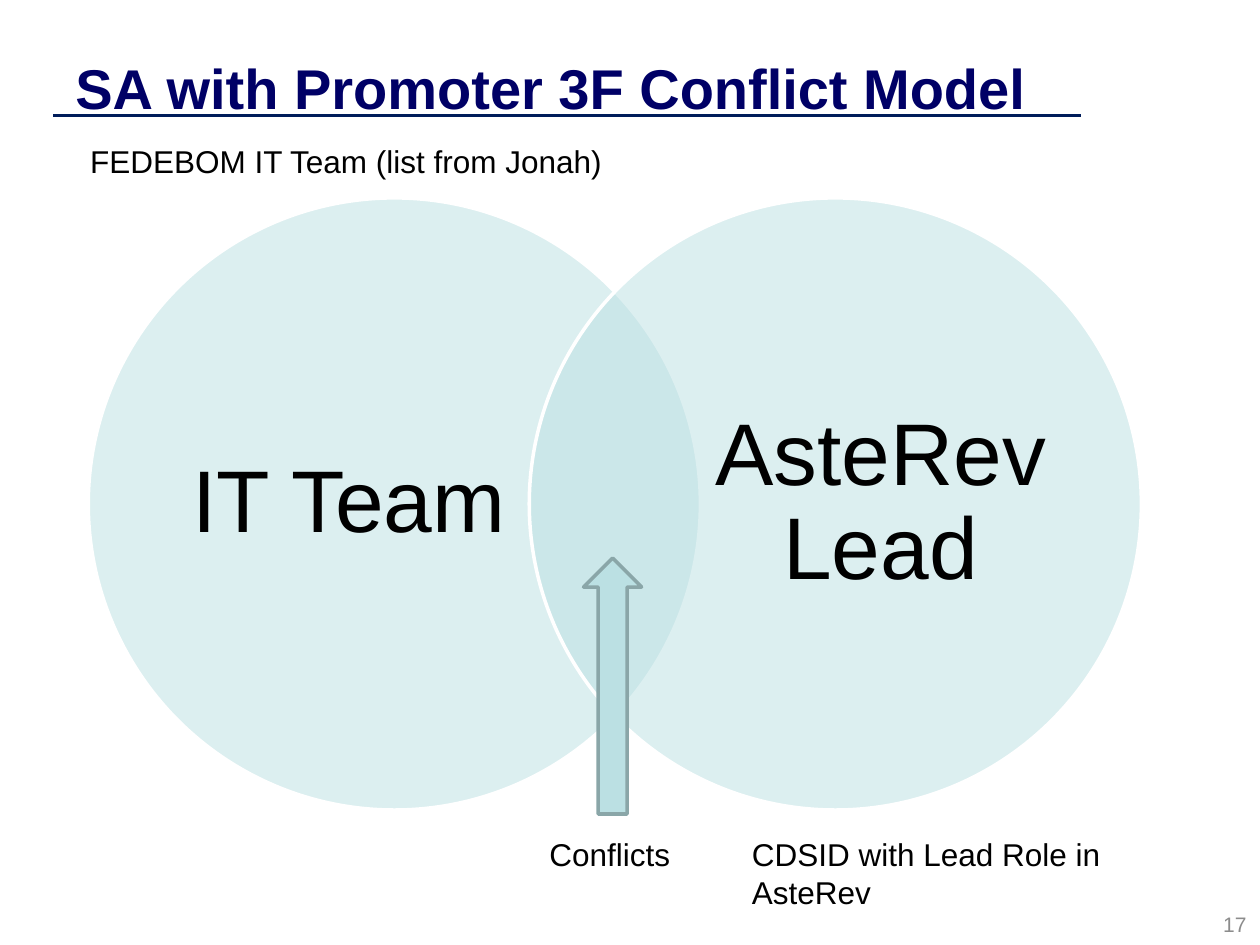
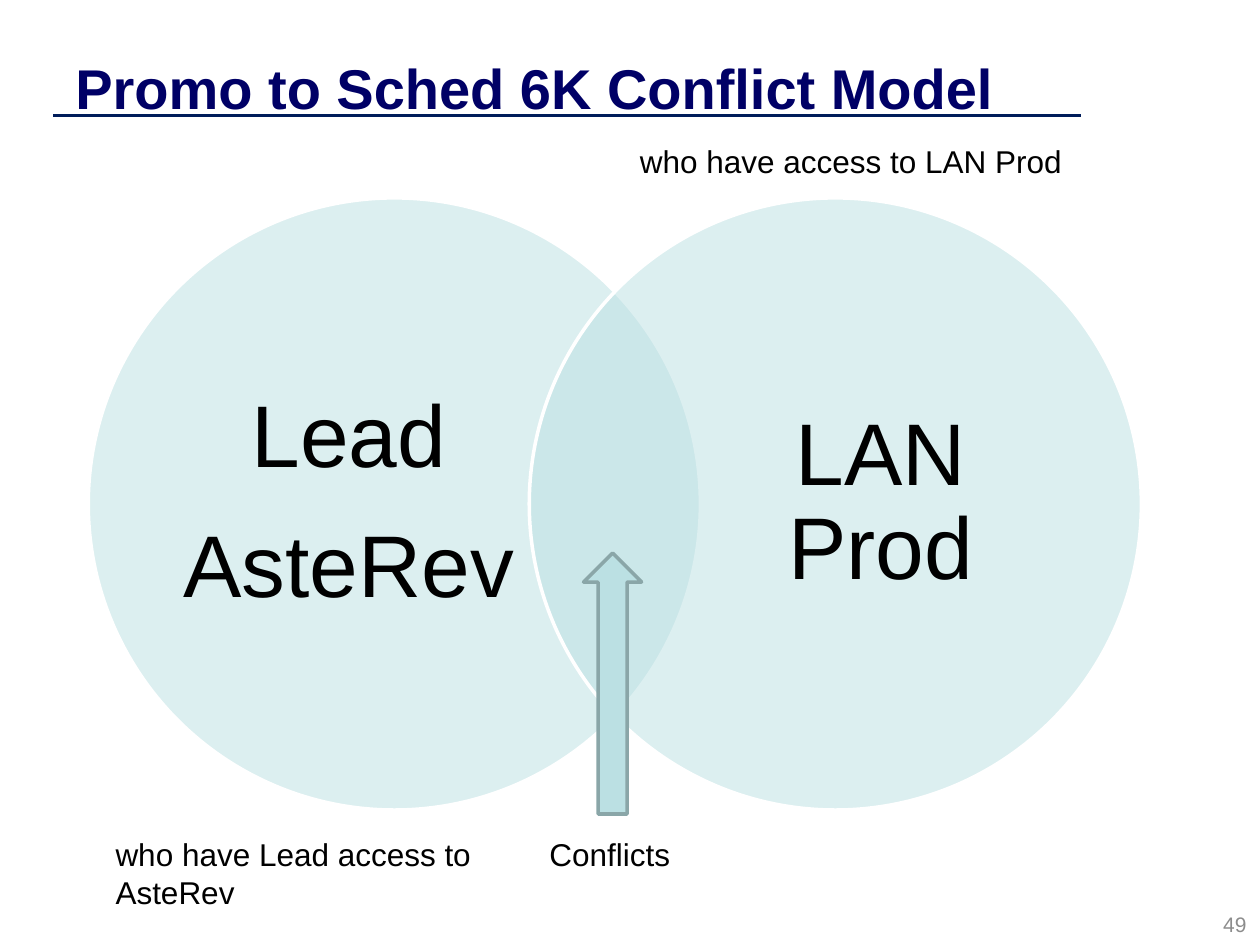
import pptx
import pptx.util
import pptx.dml.color
import pptx.enum.shapes
import pptx.enum.text
import pptx.oxml.ns
import lxml.etree

Cm, Pt = pptx.util.Cm, pptx.util.Pt
Color = pptx.dml.color.RGBColor
Shape = pptx.enum.shapes.MSO_SHAPE
Align = pptx.enum.text.PP_ALIGN
Anchor = pptx.enum.text.MSO_ANCHOR
qn = pptx.oxml.ns.qn

FONT = "Arial"
NAVY = Color(0x00, 0x00, 0x66)
RULE = Color(0x00, 0x1C, 0x5A)
AQUA = Color(0xBB, 0xE0, 0xE3)
TEAL = Color(0x8A, 0xA6, 0xA8)
GRAY = Color(0x8C, 0x8C, 0x8C)
WHITE = Color(0xFF, 0xFF, 0xFF)
BLACK = Color(0x00, 0x00, 0x00)

# Boxes are left, top, width, height in centimetres
TITLE = (1.27, 0.76, 20.32, 1.98)
VENN = (1.78, 3.99, 21.23, 12.34)
NUMBER = (19.46, 18.19, 5.92, 0.86)
ABOVE, BELOW = 2.74, 16.71

SLIDES = [
    dict(title="SA with Promoter 3F Conflict Model", number="17",
         teams=(["IT Team"], ["AsteRev Lead"]), tip=11.25,
         notes=[("FEDEBOM IT Team (list from Jonah)", (1.57, ABOVE, 11.1, 1.02)),
                ("CDSID with Lead Role in AsteRev", (14.91, BELOW, 9.12, 1.8))]),
    dict(title="Promo to Sched 6K Conflict Model", number="49",
         teams=(["Lead", "AsteRev"], ["LAN Prod"]), tip=11.15,
         notes=[("who have Lead access to AsteRev", (2.08, BELOW, 8.74, 1.8)),
                ("who have access to LAN Prod", (12.65, ABOVE, 9.78, 1.02))]),
]


def add_text(shapes, box, lines, size, color=BLACK, bold=False,
             align=Align.LEFT, anchor=Anchor.TOP):
    frame = shapes.add_textbox(*map(Cm, box)).text_frame
    frame.word_wrap = True
    frame.vertical_anchor = anchor
    for i, line in enumerate(lines):
        para = frame.paragraphs[0] if i == 0 else frame.add_paragraph()
        para.alignment = align
        run = para.add_run()
        run.text = line
        run.font.name = FONT
        run.font.size = Pt(size)
        run.font.bold = bold
        run.font.color.rgb = color
    return frame


def add_shape(shapes, kind, box, edge):
    shape = shapes.add_shape(kind, *map(Cm, box))
    shape.shadow.inherit = False
    shape.fill.solid()
    shape.fill.fore_color.rgb = AQUA
    shape.line.color.rgb = edge
    shape.line.width = Pt(2)
    return shape


def fade(shape, percent):
    """Set the opacity of the shape's fill."""
    color = shape.fill._xPr.find(qn("a:solidFill"))[0]
    lxml.etree.SubElement(color, qn("a:alpha"), val=str(percent * 1000))


def add_title(slide, box, title):
    left, top, _, _ = box
    y = Cm(top + 1.57)
    rule = slide.shapes.add_connector(
        pptx.enum.shapes.MSO_CONNECTOR.STRAIGHT,
        Cm(left - 0.2), y, Cm(left + 20.52), y)
    rule.line.color.rgb = RULE
    rule.line.width = Pt(2)
    lxml.etree.SubElement(rule._element.spPr, qn("a:effectLst"))
    add_text(slide.shapes, box, [title], 32, NAVY, True, anchor=Anchor.MIDDLE)


def add_venn(slide, box, teams):
    left, top, width, size = box
    wide, high, inset = 7.11, 9.42, 1.7
    group = slide.shapes.add_group_shape().shapes
    places = [(left, inset), (left + width - size, size - wide - inset)]
    for lines, (x, shift) in zip(teams, places):
        fade(add_shape(group, Shape.OVAL, (x, top, size, size), WHITE), 50)
        label = (x + shift, top + (size - high) / 2, wide, high)
        frame = add_text(group, label, lines, 50,
                         align=Align.CENTER, anchor=Anchor.MIDDLE)
        frame.margin_left = frame.margin_right = 0
        frame.margin_top = frame.margin_bottom = 0
        for para in frame.paragraphs:
            para.line_spacing = 0.9
            para.space_after = Pt(20)


def add_arrow(slide, box, tip):
    """Point from below the circles to their overlap."""
    left, top, width, height = box
    mid, end = left + width / 2 - 0.05, top + height + 0.08
    add_shape(slide.shapes, Shape.UP_ARROW,
              (mid - 0.58, tip, 1.17, end - tip), TEAL)
    add_text(slide.shapes, (mid - 1.52, BELOW, 3, 1.02), ["Conflicts"], 18)


def add_model(deck, title, number, teams, tip, notes):
    slide = deck.slides.add_slide(deck.slide_layouts[6])
    add_title(slide, TITLE, title)
    add_venn(slide, VENN, teams)
    add_text(slide.shapes, NUMBER, [number], 12, GRAY,
             align=Align.RIGHT, anchor=Anchor.MIDDLE)
    add_arrow(slide, VENN, tip)
    for note, box in notes:
        add_text(slide.shapes, box, [note], 18)


def main():
    deck = pptx.Presentation()
    deck.slide_width, deck.slide_height = Cm(25.4), Cm(19.05)
    for model in SLIDES:
        add_model(deck, **model)
    deck.save("out.pptx")


if __name__ == "__main__":
    main()
